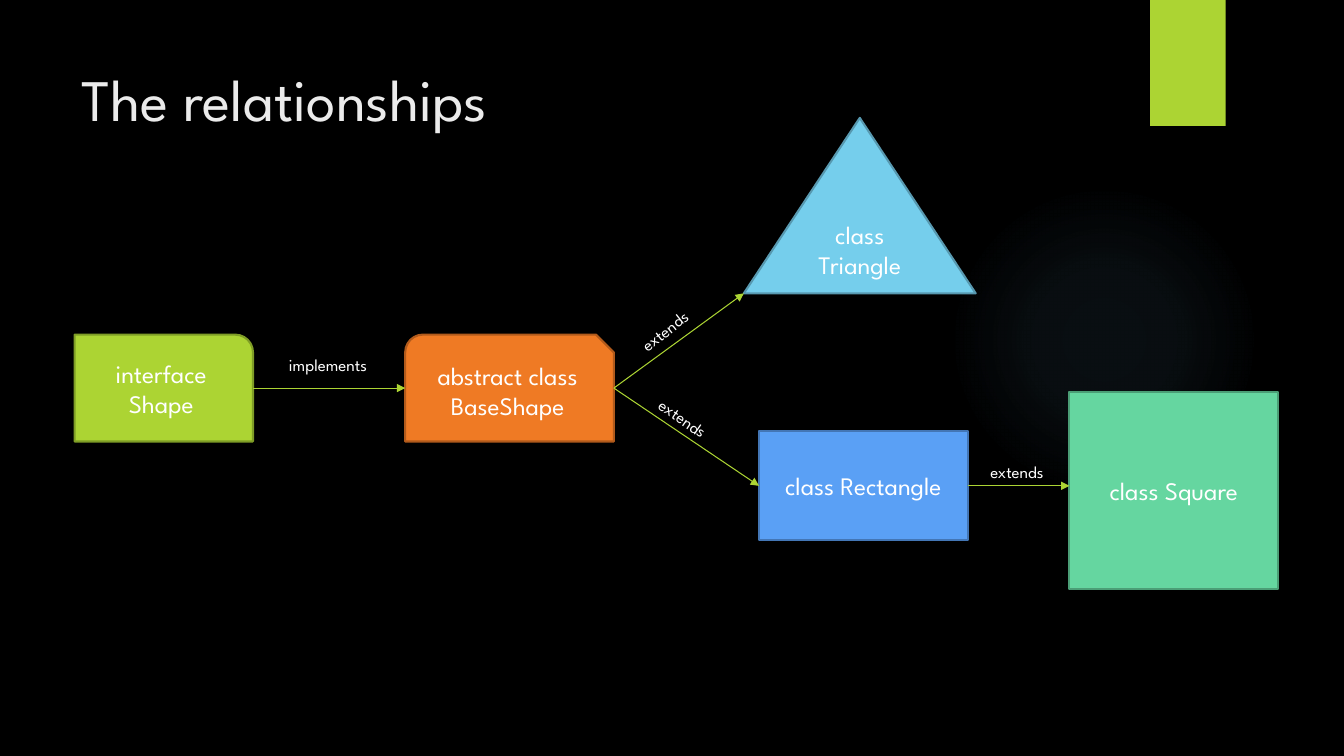
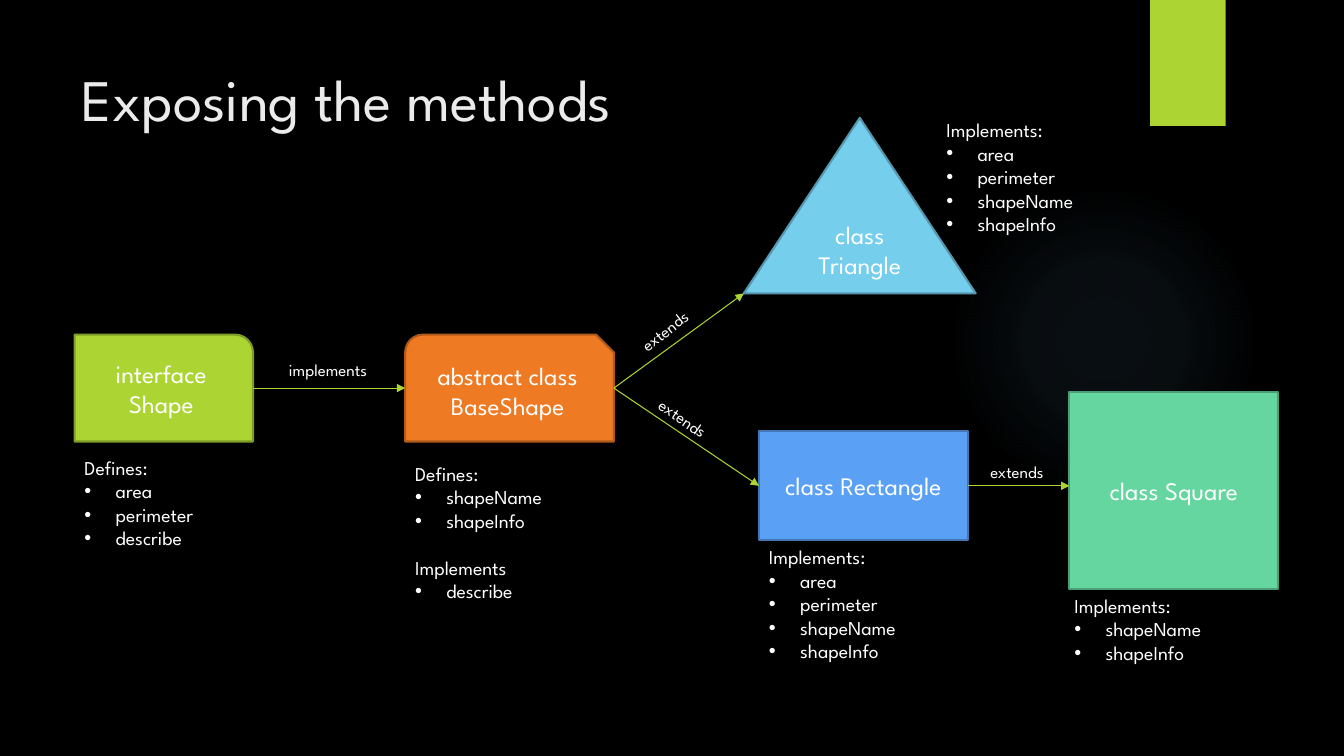
"""Two slides about a class hierarchy: its relationships, then its methods."""
from lxml.etree import SubElement
from pptx import Presentation
from pptx.dml.color import RGBColor
from pptx.enum.shapes import MSO_CONNECTOR, MSO_SHAPE
from pptx.enum.text import MSO_ANCHOR, MSO_AUTO_SIZE, PP_ALIGN
from pptx.oxml import parse_xml
from pptx.oxml.ns import nsdecls, qn
from pptx.util import Inches, Pt

FONT = "League Spartan"
COLORS = {
    "background": "000000", "title": "EBEBEB", "text": "FFFFFF",
    "accent": "ACD433", "halo": "7AC4F0",
    "interface": "ACD433", "interface edge": "7F9D26",
    "base": "EF7A24", "base edge": "B15A1B",
    "triangle": "75CEEC", "triangle edge": "5798AF",
    "rectangle": "5AA0F5", "rectangle edge": "4376B5",
    "square": "65D6A0", "square edge": "4B9E76",
}
COLUMNS, ROWS = 80, 45

deck = Presentation()
deck.slide_width, deck.slide_height = Inches(13.3333), Inches(7.5)
CELL = deck.slide_height / ROWS


def grid(*counts):
    """Turn counts of grid cells into lengths."""
    return [round(count * CELL) for count in counts]


def write(frame, text, size, color="text", align=PP_ALIGN.LEFT):
    """Fill a text frame and format its paragraphs."""
    frame.text = text
    frame.word_wrap = True
    for para in frame.paragraphs:
        para.alignment = align
        for span in para.runs:
            span.font.name = FONT
            span.font.size = Pt(size)
            span.font.color.rgb = RGBColor.from_string(COLORS[color])


NODES = {
    "interface": (MSO_SHAPE.ROUND_1_RECTANGLE, "interface Shape", (4.44, 19.92, 10.62, 6.36)),
    "base": (MSO_SHAPE.SNIP_ROUND_RECTANGLE, "abstract class BaseShape", (24.12, 19.92, 12.42, 6.36)),
    "triangle": (MSO_SHAPE.ISOSCELES_TRIANGLE, "class Triangle", (44.28, 7.02, 13.8, 10.44)),
    "rectangle": (MSO_SHAPE.RECTANGLE, "class Rectangle", (45.18, 25.68, 12.42, 6.48)),
    "square": (MSO_SHAPE.RECTANGLE, "class Square", (63.66, 23.34, 12.42, 11.7)),
}
ARROWS = {
    "interface to base": (15.06, 23.1, 24.12, 23.1),
    "base to triangle": (36.54, 23.1, 44.28, 17.46),
    "base to rectangle": (36.54, 23.1, 45.18, 28.92),
    "rectangle to square": (57.6, 28.92, 63.66, 28.92),
}
EXTENDS_LABELS = [
    ("extends", 35.88, 18.78, 7.38, 322.1),
    ("extends", 36.96, 24, 7.38, 34.3),
    ("extends", 57.66, 27.18, 5.76, 0),
]
ALL_METHODS = ["area", "perimeter", "shapeName", "shapeInfo"]
METHOD_LISTS = [
    (4.44, 26.82, ["Defines:", "area", "perimeter", "describe"]),
    (24.12, 27.18, ["Defines:", "shapeName", "shapeInfo", "Implements", "describe"]),
    (45.18, 32.16, ["Implements:", *ALL_METHODS]),
    (63.36, 35.04, ["Implements:", "shapeName", "shapeInfo"]),
    (55.74, 6.72, ["Implements:", *ALL_METHODS]),
]
SLIDES = [
    ("The relationships", 20.82, []),
    ("Exposing the methods", 21.12, METHOD_LISTS),
]

layout = deck.slide_layouts[5]
background = deck.slide_master.background.fill
background.solid()
background.fore_color.rgb = RGBColor.from_string(COLORS["background"])
heading = layout.placeholders[0]
heading.left, heading.top, heading.width, heading.height = grid(4.26, 3, 61.74, 5.7)
pages = [deck.slides.add_slide(layout) for _ in SLIDES]

halo = pages[0].shapes.add_shape(MSO_SHAPE.OVAL, *grid(56.46, 10.98, 18.48, 18.48))
stops = "".join(
    f'<a:gs pos="{place}000"><a:srgbClr val="{COLORS["halo"]}">'
    f'<a:alpha val="{opacity}000"/></a:srgbClr></a:gs>'
    for place, opacity in [(0, 7), (36, 6), (69, 0)]
)
halo.element.spPr.append(parse_xml(
    f'<a:gradFill {nsdecls("a")}><a:gsLst>{stops}</a:gsLst><a:path path="circle">'
    '<a:fillToRect l="50000" t="50000" r="50000" b="50000"/></a:path></a:gradFill>'
))
band = pages[0].shapes.add_shape(MSO_SHAPE.RECTANGLE, *grid(COLUMNS - 11.54, 0, 4.5, 7.5))
band.fill.solid()
band.fill.fore_color.rgb = RGBColor.from_string(COLORS["accent"])
for index, decoration in enumerate([halo, band]):
    decoration.line.fill.background()
    decoration.shadow.inherit = False
    decoration.element.nvSpPr.cNvPr.set("id", str(20 + index))
    layout.shapes.element.insert(2 + index, decoration.element)

for page, (title, implements_top, method_lists) in zip(pages, SLIDES):
    write(page.shapes.title.text_frame, title, 42, "title")
    page.shapes.title.text_frame.vertical_anchor = MSO_ANCHOR.MIDDLE

    nodes = {}
    for name, (preset, text, place) in NODES.items():
        node = nodes[name] = page.shapes.add_shape(preset, *grid(*place))
        node.shadow.inherit = False
        node.fill.solid()
        node.fill.fore_color.rgb = RGBColor.from_string(COLORS[name])
        node.line.color.rgb = RGBColor.from_string(COLORS[f"{name} edge"])
        node.line.width = Pt(1.5)
        write(node.text_frame, text, 18, align=PP_ALIGN.CENTER)
        node.text_frame.vertical_anchor = MSO_ANCHOR.MIDDLE

    arrows = {}
    for name, ends in ARROWS.items():
        arrow = arrows[name] = page.shapes.add_connector(MSO_CONNECTOR.STRAIGHT, *grid(*ends))
        arrow.line.color.rgb = RGBColor.from_string(COLORS["accent"])
        arrow.line.width = Pt(0.75)
        outline = arrow.element.spPr.find(qn("a:ln"))
        SubElement(outline, qn("a:tailEnd"), type="triangle")
        SubElement(arrow.element.spPr, qn("a:effectLst"))
    arrows["base to rectangle"].end_connect(nodes["rectangle"], 1)
    arrows["rectangle to square"].begin_connect(nodes["rectangle"], 3)

    labels = [("implements", 15.84, implements_top, 7.38, 0), *EXTENDS_LABELS]
    for text, left, top, width, angle in labels:
        label = page.shapes.add_textbox(*grid(left, top, width, 1.8))
        label.rotation = angle
        write(label.text_frame, text, 12, align=PP_ALIGN.CENTER)
        label.text_frame.auto_size = MSO_AUTO_SIZE.SHAPE_TO_FIT_TEXT

    for left, top, lines in method_lists:
        box = page.shapes.add_textbox(*grid(left, top, 10.62, 0.6 + 1.41 * len(lines)))
        write(box.text_frame, "\n".join(lines), 14)
        box.text_frame.auto_size = MSO_AUTO_SIZE.SHAPE_TO_FIT_TEXT
        for index, para in enumerate(box.text_frame.paragraphs):
            if para.text.startswith(("Defines", "Implements")):
                para.space_before = Pt(16.8 if index else 0)
                continue
            properties = para._p.get_or_add_pPr()
            properties.set("marL", str(Inches(0.31)))
            properties.set("indent", str(-Inches(0.31)))
            SubElement(properties, qn("a:buFont"), typeface="Arial")
            SubElement(properties, qn("a:buChar"), char="•")

deck.save("out.pptx")
